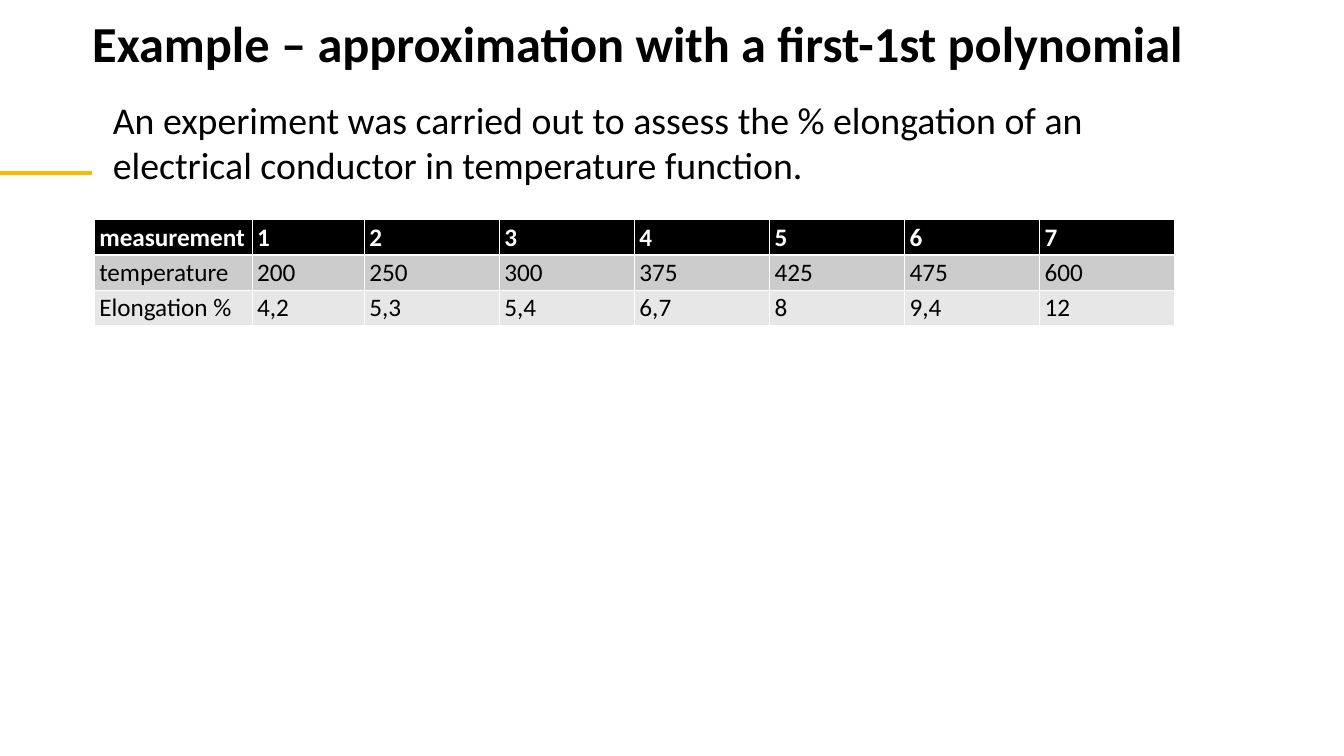
from lxml import etree
from pptx import Presentation
from pptx.dml.color import RGBColor
from pptx.enum.shapes import MSO_CONNECTOR, MSO_SHAPE
from pptx.enum.text import MSO_ANCHOR, MSO_AUTO_SIZE, PP_ALIGN
from pptx.oxml.ns import qn
from pptx.util import Inches, Pt

LEFT = PP_ALIGN.LEFT
TOP = MSO_ANCHOR.TOP
FIT_SHAPE = MSO_AUTO_SIZE.SHAPE_TO_FIT_TEXT
STRAIGHT = MSO_CONNECTOR.STRAIGHT
RECTANGLE = MSO_SHAPE.RECTANGLE

FONT = "Calibri"
COLORS = {
    "black": "000000",
    "white": "FFFFFF",
    "accent": "FBBA00",
    "odd_row": "CCCCCC",
    "even_row": "E7E7E7",
}
MEASUREMENTS = [
    ["measurement", "1", "2", "3", "4", "5", "6", "7"],
    ["temperature", "200", "250", "300", "375", "425", "475", "600"],
    ["Elongation %", "4,2", "5,3", "5,4", "6,7", "8", "9,4", "12"],
]
COLUMN_WIDTHS = [3.13, 2.23] + [2.68] * 6
ROW_HEIGHT = 0.7


def color(name):
    return RGBColor.from_string(COLORS[name])


def write_text(text_frame, text, size, color_name="black", bold=False):
    text_frame.text = text
    paragraph = text_frame.paragraphs[0]
    paragraph.alignment = LEFT
    font = paragraph.runs[0].font
    font.name = FONT
    font.size = Pt(size)
    font.bold = bold
    font.color.rgb = color(color_name)


def fit_text_frame(text_frame):
    """Remove the margins and let the shape grow with its text."""
    text_frame.margin_left = text_frame.margin_right = 0
    text_frame.margin_top = text_frame.margin_bottom = 0
    text_frame.vertical_anchor = TOP
    text_frame.word_wrap = True
    text_frame.auto_size = FIT_SHAPE


def add_title(slide, text):
    title = slide.shapes.title
    title.left, title.top = Inches(1.83), Inches(0.24)
    title.width, title.height = Inches(24.84), Inches(1.21)
    fit_text_frame(title.text_frame)
    write_text(title.text_frame, text, 72, bold=True)


def add_accent_line(slide):
    line = slide.shapes.add_connector(
        STRAIGHT, Inches(1.83), Inches(3.43), Inches(0), Inches(3.43))
    line.line.color.rgb = color("accent")
    line.line.width = Pt(6)
    etree.SubElement(line._element.spPr, qn("a:effectLst"))


def add_description(slide, text):
    box = slide.shapes.add_shape(
        RECTANGLE, Inches(2.24), Inches(1.91), Inches(21.47), Inches(1.82))
    box.shadow.inherit = False
    box.fill.solid()
    box.fill.fore_color.rgb = color("white")
    box.line.color.rgb = color("white")
    box.line.width = Pt(0.75)
    fit_text_frame(box.text_frame)
    write_text(box.text_frame, text, 54)


def set_borders(cell, bottom_width=1, top_width=1):
    properties = cell._tc.get_or_add_tcPr()
    widths = {"lnL": 1, "lnR": 1, "lnT": top_width, "lnB": bottom_width}
    for position, (side, width) in enumerate(widths.items()):
        border = etree.Element(qn(f"a:{side}"), w=str(Pt(width)))
        fill = etree.SubElement(border, qn("a:solidFill"))
        etree.SubElement(fill, qn("a:srgbClr"), val=COLORS["white"])
        properties.insert(position, border)


def add_measurement_table(slide):
    table = slide.shapes.add_table(
        len(MEASUREMENTS), len(COLUMN_WIDTHS), Inches(1.87), Inches(4.36),
        Inches(sum(COLUMN_WIDTHS)), Inches(ROW_HEIGHT * len(MEASUREMENTS))).table
    for column, width in zip(table.columns, COLUMN_WIDTHS):
        column.width = Inches(width)
    row_fills = ["black", "odd_row", "even_row"]
    for row_index, values in enumerate(MEASUREMENTS):
        table.rows[row_index].height = Inches(ROW_HEIGHT)
        header = row_index == 0
        for column_index, value in enumerate(values):
            cell = table.cell(row_index, column_index)
            cell.fill.solid()
            cell.fill.fore_color.rgb = color(row_fills[row_index])
            write_text(cell.text_frame, value, 36,
                       "white" if header else "black", bold=header)
            set_borders(cell, bottom_width=3 if header else 1,
                        top_width=3 if row_index == 1 else 1)


def main():
    presentation = Presentation()
    presentation.slide_width = Inches(26.67)
    presentation.slide_height = Inches(15)
    slide = presentation.slides.add_slide(presentation.slide_layouts[5])
    add_title(slide, "Example – approximation with a first-1st polynomial")
    add_accent_line(slide)
    add_description(
        slide, "An experiment was carried out to assess the % elongation of an "
        "electrical conductor in temperature function.")
    add_measurement_table(slide)
    presentation.save("out.pptx")


if __name__ == "__main__":
    main()
